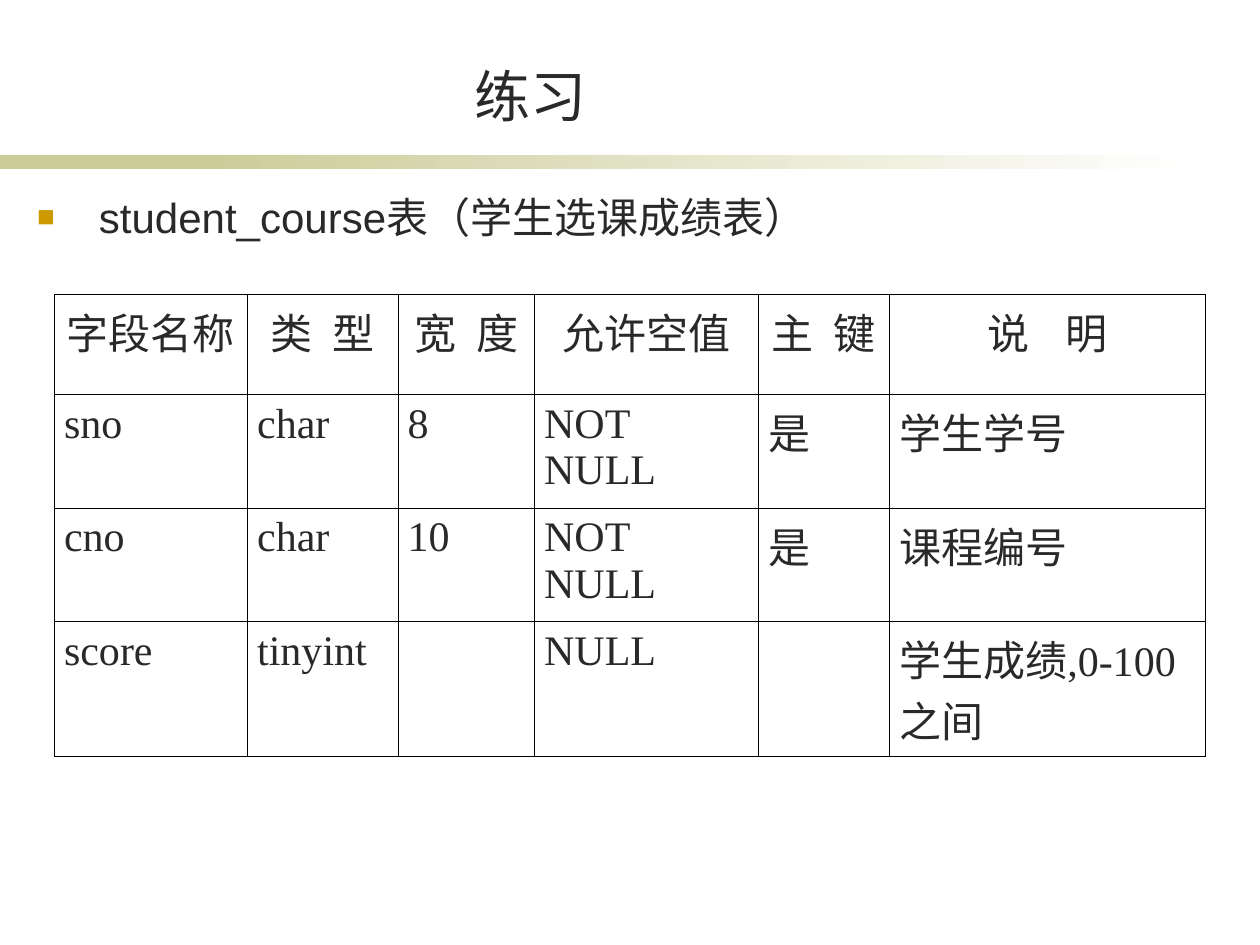
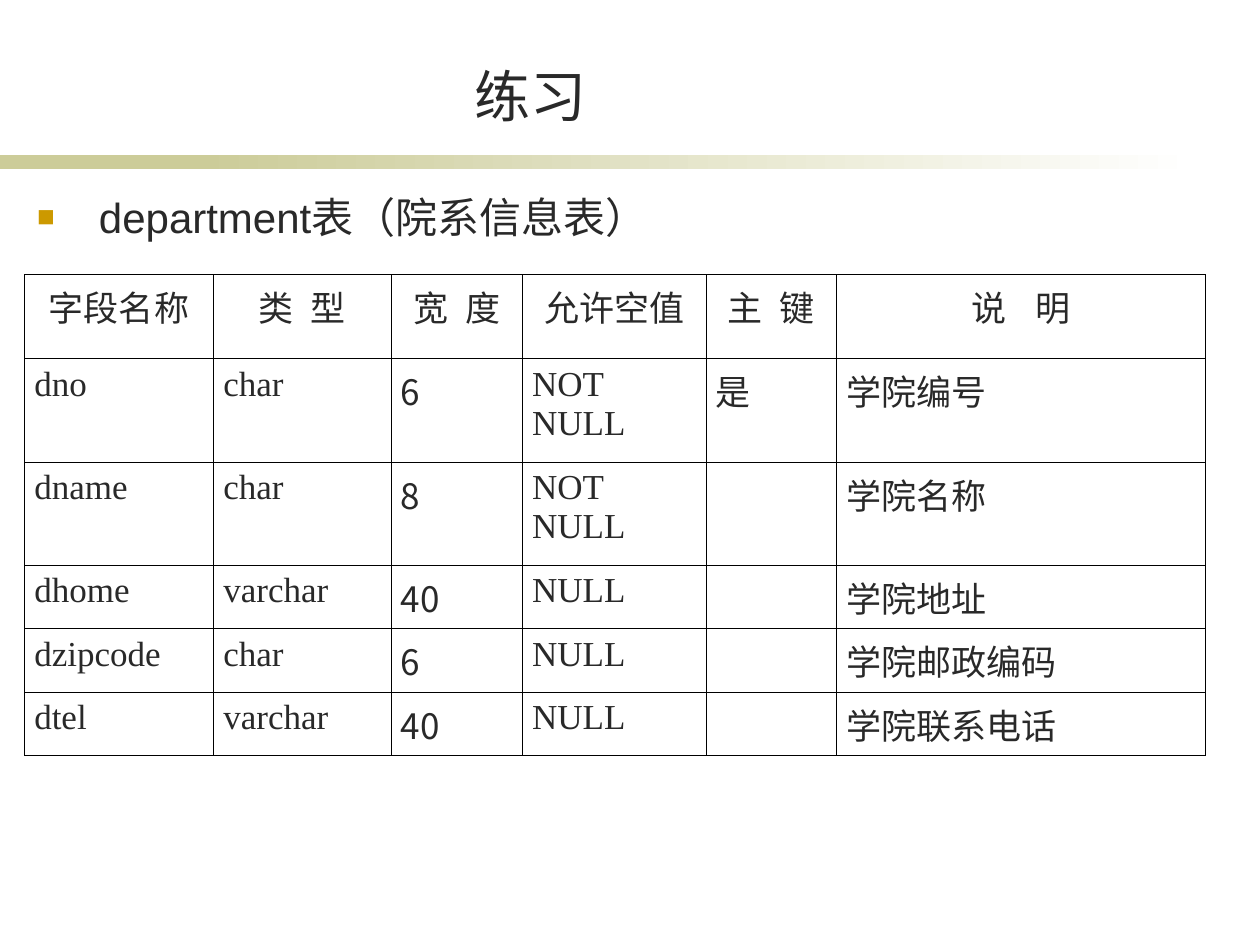
from lxml import etree
from pptx import Presentation
from pptx.dml.color import RGBColor
from pptx.enum.shapes import MSO_SHAPE
from pptx.enum.text import MSO_ANCHOR, MSO_AUTO_SIZE, PP_ALIGN
from pptx.oxml.ns import qn
from pptx.util import Pt

RECT = MSO_SHAPE.RECTANGLE
BOTTOM = MSO_ANCHOR.BOTTOM
FIXED = MSO_AUTO_SIZE.NONE
LEFT, CENTER = PP_ALIGN.LEFT, PP_ALIGN.CENTER
TITLE_ONLY = 5

INK, SAND, WHITE, GOLD, BLACK = "292929", "CCCC99", "FFFFFF", "CC9900", "000000"
SANS, SERIF, HAN = "Arial", "Times New Roman", "Noto Sans CJK SC"

# Each header with the number of space widths between its characters
HEADS = [("字段名称", 1), ("类 型", 2), ("宽 度", 2),
         ("允许空值", 1), ("主 键", 2), ("说 明", 3.5)]

COURSE = [
    ("sno", "char", "8", "NOT NULL", "是", "学生学号"),
    ("cno", "char", "10", "NOT NULL", "是", "课程编号"),
    ("score", "tinyint", "", "NULL", "", "学生成绩,0-100之间"),
]
DEPT = [
    ("dno", "char", "6", "NOT NULL", "是", "学院编号"),
    ("dname", "char", "8", "NOT NULL", "", "学院名称"),
    ("dhome", "varchar", "40", "NULL", "", "学院地址"),
    ("dzipcode", "char", "6", "NULL", "", "学院邮政编码"),
    ("dtel", "varchar", "40", "NULL", "", "学院联系电话"),
]


def rgb(code):
    return RGBColor.from_string(code)


def add_sub(node, tag, **attrs):
    return etree.SubElement(node, qn(tag), attrs)


def write(frame, text, size=24, font=SANS, color=INK, align=LEFT, gap=1):
    """Write one paragraph; gap widens its spaces to that many space widths."""
    para = frame.paragraphs[0]
    para.alignment = align
    parts = [text] if gap == 1 else text.partition(" ")
    for part in parts:
        run = para.add_run()
        run.text = part
        run.font.size = Pt(size)
        run.font.name = font
        run.font.color.rgb = rgb(color)
        props = run.font._element
        add_sub(props, "a:ea", typeface=HAN)
        if part == " ":
            props.set("spc", str(round((gap - 1) * size * 25)))
    return para


def add_bar(slide, left, width):
    bar = slide.shapes.add_shape(RECT, Pt(left), Pt(88.6), Pt(width), Pt(8))
    bar.shadow.inherit = False
    bar.line.fill.background()
    return bar.fill


def add_band(slide):
    solid = add_bar(slide, 0, 168)
    solid.solid()
    solid.fore_color.rgb = rgb(SAND)
    fade = add_bar(slide, 114, 570)
    fade.gradient()
    fade.gradient_angle = 0
    for stop, place, color in zip(fade.gradient_stops, (0, 1), (SAND, WHITE)):
        stop.position = place
        stop.color.rgb = rgb(color)


def set_title(slide, text):
    title = slide.shapes.title
    title.left, title.top = Pt(82), Pt(31.7)
    title.width, title.height = Pt(442), Pt(45.4)
    frame = title.text_frame
    frame.auto_size = FIXED
    frame.vertical_anchor = BOTTOM
    write(frame, text, size=32, align=CENTER)


def add_bullet(slide, text):
    box = slide.shapes.add_textbox(Pt(14.2), Pt(105.8), Pt(664), Pt(357))
    box.text_frame.word_wrap = True
    para = write(box.text_frame, text)
    para.space_before = Pt(6)
    props = para._p.get_or_add_pPr()
    props.set("marL", str(Pt(35.3)))
    props.set("indent", str(-Pt(35.3)))
    tint = add_sub(props, "a:buClr")
    add_sub(tint, "a:srgbClr", val=GOLD)
    add_sub(props, "a:buSzPct", val="70000")
    add_sub(props, "a:buFont", typeface=SANS)
    add_sub(props, "a:buChar", char="■")


def frame_cell(cell):
    """Give a cell its margins, thin borders and no fill."""
    cell.margin_left = cell.margin_right = Pt(5.6)
    cell.margin_top = cell.margin_bottom = Pt(3.6)
    props = cell._tc.get_or_add_tcPr()
    for side in ("L", "R", "T", "B"):
        line = add_sub(props, "a:ln" + side, w=str(Pt(0.45)))
        fill = add_sub(line, "a:solidFill")
        add_sub(fill, "a:srgbClr", val=BLACK)
    cell.fill.background()


def add_grid(slide, left, top, widths, heights, rows, size, num_font=SERIF):
    """Add a field table; num_font sets the width column."""
    shape = slide.shapes.add_table(len(heights), len(widths), Pt(left), Pt(top),
                                   Pt(sum(widths)), Pt(sum(heights)))
    table = shape.table
    table.first_row = table.horz_banding = False
    for col, width in zip(table.columns, widths):
        col.width = Pt(width)
    for row, height in zip(table.rows, heights):
        row.height = Pt(height)
    for cell in table.iter_cells():
        frame_cell(cell)
    for c, (head, gap) in enumerate(HEADS):
        write(table.cell(0, c).text_frame, head, size=size, font=SERIF,
              align=CENTER, gap=gap)
    for r, row in enumerate(rows, 1):
        for c, text in enumerate(row):
            if text:
                write(table.cell(r, c).text_frame, text, size=size,
                      font=num_font if c == 2 else SERIF)


def add_page(deck, topic):
    slide = deck.slides.add_slide(deck.slide_layouts[TITLE_ONLY])
    add_band(slide)
    set_title(slide, "练习")
    add_bullet(slide, topic)
    return slide


def main():
    deck = Presentation()
    deck.slide_width, deck.slide_height = Pt(720), Pt(540)

    page = add_page(deck, "student_course表（学生选课成绩表）")
    add_grid(page, 31, 168, [110.4, 86, 78, 128, 75, 180.6],
             [57.6, 60.4, 60.4, 76.8], COURSE, size=24)

    page = add_page(deck, "department表（院系信息表）")
    add_grid(page, 14, 157, [108, 101.5, 75, 105, 74.5, 211],
             [48] + [59] * 2 + [36.3] * 3, DEPT, size=20, num_font=HAN)

    deck.save("out.pptx")


if __name__ == "__main__":
    main()
